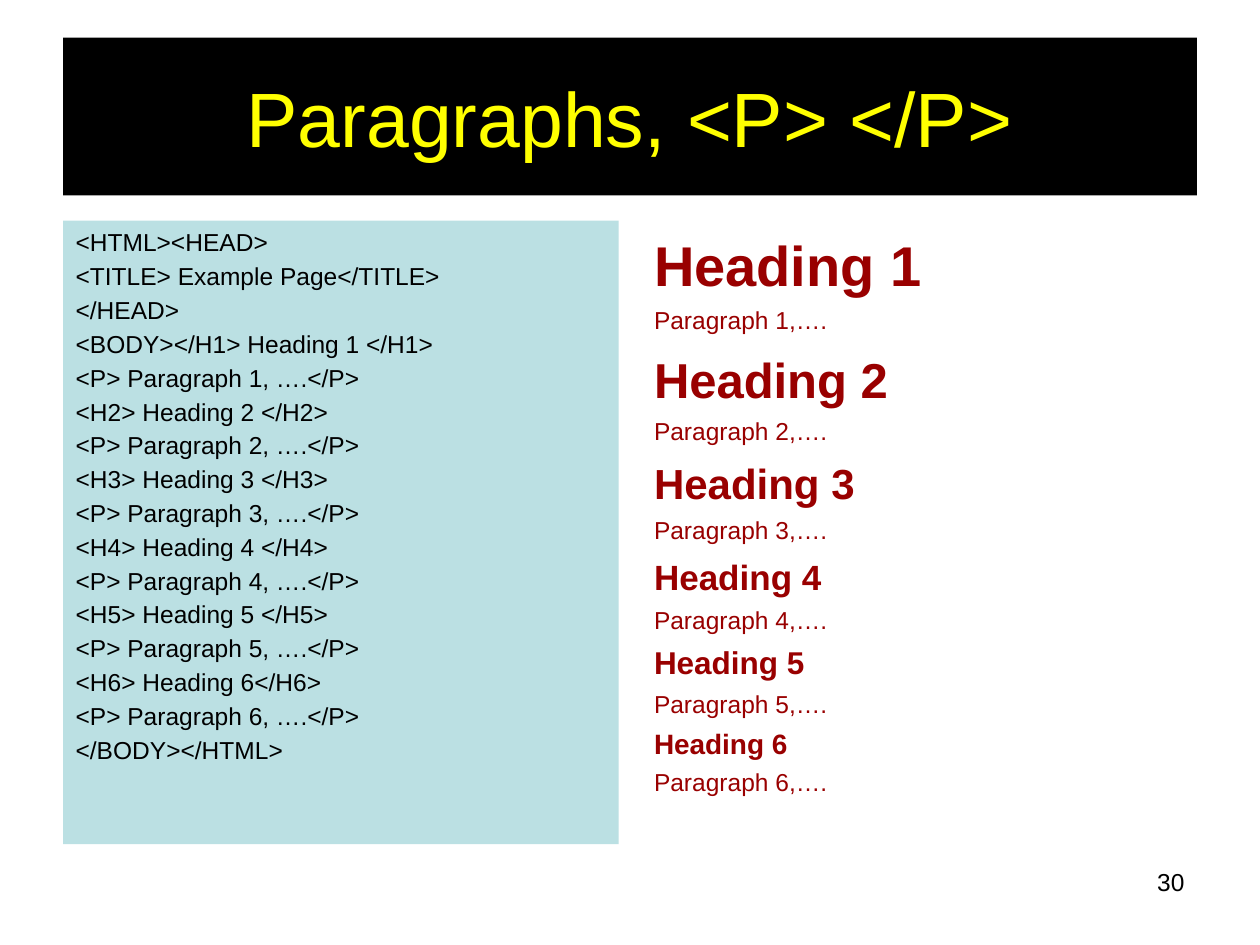
from dataclasses import dataclass

from lxml import etree
from pptx import Presentation
from pptx import util as u
from pptx.dml import color
from pptx.enum import text
from pptx.oxml import ns

FONT = "Arial"
BODY_SIZE = 14
HEADING_SIZES = (32, 28, 24, 20, 18, 16)
SPACE_RATIO = 0.3  # space before a list line, as a share of its text size
HANGING = u.Cm(0.95)


@dataclass
class Area:
    left: float
    top: float
    width: float
    height: float


@dataclass
class Line:
    words: str
    size: int = BODY_SIZE
    bold: bool = False


TITLE_AREA = Area(1.27, 0.76, 22.86, 3.18)
CODE_AREA = Area(1.27, 4.45, 11.2, 12.57)
RESULT_AREA = Area(12.93, 4.45, 11.2, 12.57)
NUMBER_AREA = Area(18.21, 17.35, 5.92, 1.32)


def rgb(value: str) -> color.RGBColor:
    return color.RGBColor.from_string(value)


def place(box, area: Area, fill: str = "") -> None:
    """Move a box to its area and fill it if a colour is given."""
    box.left, box.top = u.Cm(area.left), u.Cm(area.top)
    box.width, box.height = u.Cm(area.width), u.Cm(area.height)
    box.text_frame.word_wrap = True
    box.text_frame.auto_size = text.MSO_AUTO_SIZE.NONE
    if fill:
        box.fill.solid()
        box.fill.fore_color.rgb = rgb(fill)


def write(para, words: str, *, size: int, ink: str, bold: bool = False,
          align=text.PP_ALIGN.LEFT, before: float = 0,
          spacing: float = 1.0) -> None:
    """Put formatted text into a paragraph."""
    para.alignment = align
    para.space_before = u.Pt(before)
    para.line_spacing = spacing
    span = para.add_run()
    span.text = words
    span.font.name = FONT
    span.font.size = u.Pt(size)
    span.font.bold = bold
    span.font.color.rgb = rgb(ink)


def remove_bullet(para) -> None:
    """Replace the template's bullet with a plain hanging indent."""
    props = para._p.get_or_add_pPr()
    props.set("marL", str(HANGING))
    props.set("indent", str(-HANGING))
    etree.SubElement(props, ns.qn("a:buNone"))


def fill_list(box, lines: list[Line], *, ink: str, spacing: float) -> None:
    frame = box.text_frame
    frame.margin_top = u.Cm(0.2)
    for index, line in enumerate(lines):
        para = frame.add_paragraph() if index else frame.paragraphs[0]
        remove_bullet(para)
        write(para, line.words, size=line.size, ink=ink, bold=line.bold,
              before=line.size * SPACE_RATIO if index else 0, spacing=spacing)


def code_lines() -> list[Line]:
    lines = ["<HTML><HEAD>", "<TITLE> Example Page</TITLE>", "</HEAD>"]
    for level in range(1, len(HEADING_SIZES) + 1):
        opening = "<BODY></H1>" if level == 1 else f"<H{level}>"
        gap = "" if level == len(HEADING_SIZES) else " "
        lines += [f"{opening} Heading {level}{gap}</H{level}>",
                  f"<P> Paragraph {level}, ….</P>"]
    return [Line(words) for words in lines + ["</BODY></HTML>"]]


def result_lines() -> list[Line]:
    lines = []
    for level, size in enumerate(HEADING_SIZES, 1):
        lines += [Line(f"Heading {level}", size, True),
                  Line(f"Paragraph {level},….")]
    return lines


def main() -> None:
    deck = Presentation()
    deck.slide_width, deck.slide_height = u.Cm(25.4), u.Cm(19.05)
    page = deck.slides.add_slide(deck.slide_layouts.get_by_name("Two Content"))
    title, code, result = page.placeholders

    # Title bar
    place(title, TITLE_AREA, fill="000000")
    title.text_frame.vertical_anchor = text.MSO_ANCHOR.MIDDLE
    write(title.text_frame.paragraphs[0], "Paragraphs, <P> </P>", size=44,
          ink="FFFF00", align=text.PP_ALIGN.CENTER)

    # Markup on the left, its result on the right
    place(code, CODE_AREA, fill="BBE0E3")
    fill_list(code, code_lines(), ink="000000", spacing=0.9)
    place(result, RESULT_AREA)
    fill_list(result, result_lines(), ink="990000", spacing=1.0)

    # Page number
    number = page.shapes.add_textbox(0, 0, 0, 0)
    place(number, NUMBER_AREA)
    write(number.text_frame.paragraphs[0], "30", size=BODY_SIZE,
          ink="000000", align=text.PP_ALIGN.RIGHT)

    deck.save("out.pptx")


if __name__ == "__main__":
    main()
